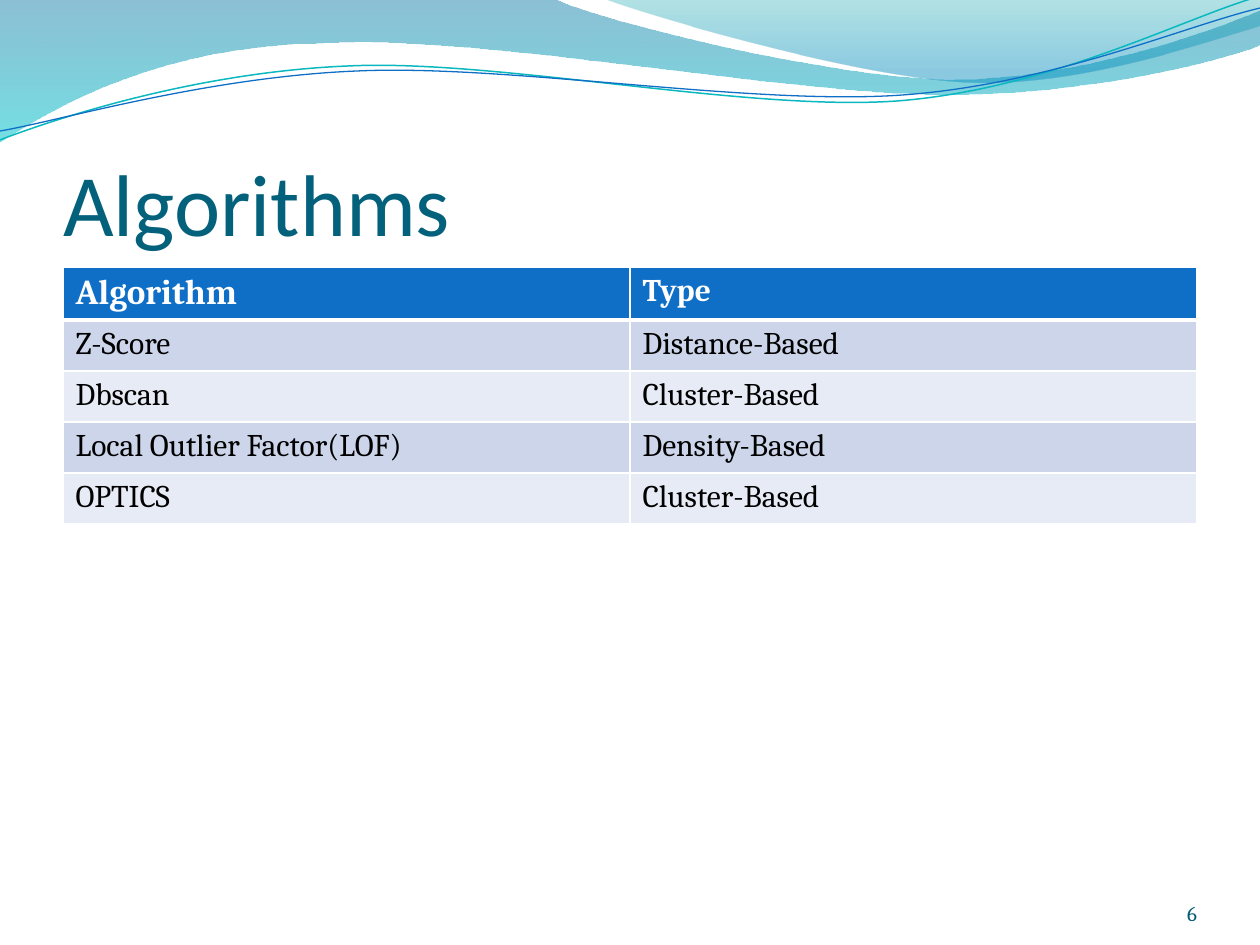
import math

from lxml import etree
from pptx import Presentation
from pptx import util as u
from pptx.dml.color import RGBColor
from pptx.enum import text
from pptx.oxml.ns import qn

SCALE = 914400 / 126
TILT = -2.7
COLORS = {
    "title": "04617B", "number": "045D75", "white": "FFFFFF", "black": "000000",
    "header": "0F6FC6", "band_dark": "CCD5EA", "band_light": "E7EBF5",
    "sea": "0074A1", "aqua": "00C6CF", "teal": "00A1A9", "sky": "008BBF",
    "line_teal": "0AB8BF", "line_blue": "0F6FC6",
}
ROWS = [
    ("Algorithm", "Type"),
    ("Z-Score", "Distance-Based"),
    ("Dbscan", "Cluster-Based"),
    ("Local Outlier Factor(LOF)", "Density-Based"),
    ("OPTICS", "Cluster-Based"),
]
BROAD_WAVE = [
    [(0, 0)], [(554, -1)],
    [(600, 21), (837, 79), (955, 79)], [(1075, 79), (1207, 33), (1260, 11)],
    [(1261, 45)],
    [(1239, 55), (1096, 96), (940, 94)], [(784, 94), (481, 35), (324, 43)],
    [(163, 45), (58, 105), (-1, 142)],
]
RIGHT_WAVE = [
    [(604, -1)],
    [(641, 14), (859, 78), (969, 82)], [(1079, 87), (1211, 40), (1260, 26)],
    [(1260, 0)],
]
TEAL_CURVE = [
    [(0, 140)], [(60, 117), (199, 72), (349, 66)],
    [(498, 59), (747, 112), (898, 101)], [(1050, 89), (1182, 19), (1257, -3)],
]
BLUE_CURVE = [
    [(0, 131)], [(59, 121), (207, 77), (357, 71)],
    [(508, 64), (752, 106), (903, 95)], [(1053, 84), (1184, 26), (1260, 8)],
]


def px(value):
    return u.Emu(round(value * SCALE))


def rgb(name):
    return RGBColor.from_string(COLORS[name])


def place(box, left, top, width, height):
    box.left, box.top, box.width, box.height = map(px, (left, top, width, height))


def rotate(point, center, degrees):
    dx, dy = point[0] - center[0], point[1] - center[1]
    cos, sin = math.cos(math.radians(degrees)), math.sin(math.radians(degrees))
    return center[0] + dx * cos - dy * sin, center[1] + dx * sin + dy * cos


def bend(shape, segments):
    lines = shape.element.iter(qn("a:lnTo"))
    for segment, group in [(s, [next(lines) for _ in s]) for s in segments]:
        if len(segment) == 3:
            curve = etree.Element(qn("a:cubicBezTo"))
            group[0].addprevious(curve)
            for line in group:
                curve.append(line[0])
                line.getparent().remove(line)


def add_outline(page, segments, close):
    points = [(px(x), px(y)) for segment in segments for x, y in segment]
    builder = page.shapes.build_freeform(*points[0], scale=1.0)
    builder.add_line_segments(points[1:], close=close)
    shape = builder.convert_to_shape()
    shape.shadow.inherit = False
    bend(shape, segments[1:])
    return shape


def add_wave(page, segments, stops):
    shape = add_outline(page, segments, True)
    shape.line.fill.background()
    shape.fill.gradient()
    shape.fill.gradient_angle = 270
    for stop, (position, color, _) in zip(shape.fill.gradient_stops, stops):
        stop.position = position
        stop.color.rgb = rgb(color)
    for node, (_, _, opacity) in zip(shape.element.iter(qn("a:srgbClr")), stops):
        etree.SubElement(node, qn("a:alpha"), val=str(opacity * 1000))


def add_curve(page, segments, center, color, width):
    level = [[rotate(point, center, -TILT) for point in segment] for segment in segments]
    shape = add_outline(page, level, False)
    shape.rotation = TILT
    shape.fill.background()
    shape.line.color.rgb = rgb(color)
    shape.line.width = u.Pt(width)


def write(frame, words, font, size, color, bold=False, align=text.PP_ALIGN.LEFT):
    para = frame.paragraphs[0]
    para.alignment = align
    span = para.add_run()
    span.text = words
    span.font.name = font
    span.font.size = u.Pt(size)
    span.font.bold = bold
    span.font.color.rgb = rgb(color)


def set_frame(frame, top_inset=0):
    frame.word_wrap = True
    frame.auto_size = text.MSO_AUTO_SIZE.NONE
    frame.vertical_anchor = text.MSO_ANCHOR.BOTTOM
    frame.margin_left = frame.margin_right = frame.margin_bottom = 0
    frame.margin_top = px(top_inset)


def set_borders(cell, widths):
    properties = cell._tc.get_or_add_tcPr()
    for index, (side, width) in enumerate(widths.items()):
        border = etree.Element(qn(f"a:ln{side}"), w=str(u.Pt(width)))
        fill = etree.SubElement(border, qn("a:solidFill"))
        etree.SubElement(fill, qn("a:srgbClr"), val=COLORS["white"])
        properties.insert(index, border)


def add_algorithm_table(page):
    frame = page.shapes.add_table(
        len(ROWS), 2, px(63), px(267), px(1134), px(51 * len(ROWS)))
    table = frame.table
    for r, row in enumerate(ROWS):
        header = r == 0
        band = "header" if header else "band_dark" if r % 2 else "band_light"
        for c, words in enumerate(row):
            cell = table.cell(r, c)
            cell.fill.solid()
            cell.fill.fore_color.rgb = rgb(band)
            set_borders(cell, {"L": 1, "R": 1, "T": 3 if r == 1 else 1,
                               "B": 3 if header else 1})
            size = 20 if header and c == 0 else 18
            write(cell.text_frame, words, "Cambria", size,
                  "white" if header else "black", bold=header)


def add_title(page, words):
    title = page.shapes.title
    place(title, 63, 97, 1134, 157)
    set_frame(title.text_frame, top_inset=6)
    write(title.text_frame, words, "Calibri", 50, "title")


def add_page_number(page, words):
    box = page.shapes.add_textbox(px(1092), px(876), px(105), px(50))
    set_frame(box.text_frame)
    write(box.text_frame, words, "Cambria", 12, "number", align=text.PP_ALIGN.RIGHT)


def main():
    deck = Presentation()
    deck.slide_width, deck.slide_height = px(1260), px(945)
    page = deck.slides.add_slide(deck.slide_layouts[5])
    add_wave(page, BROAD_WAVE, [(0, "sea", 45), (1, "aqua", 55)])
    add_wave(page, RIGHT_WAVE, [(0, "teal", 30), (0.8, "sky", 45)])
    add_curve(page, TEAL_CURVE, (629, 72), "line_teal", 0.85)
    add_curve(page, BLUE_CURVE, (629, 74), "line_blue", 0.75)
    add_title(page, "Algorithms")
    add_algorithm_table(page)
    add_page_number(page, "6")
    deck.save("out.pptx")


if __name__ == "__main__":
    main()
